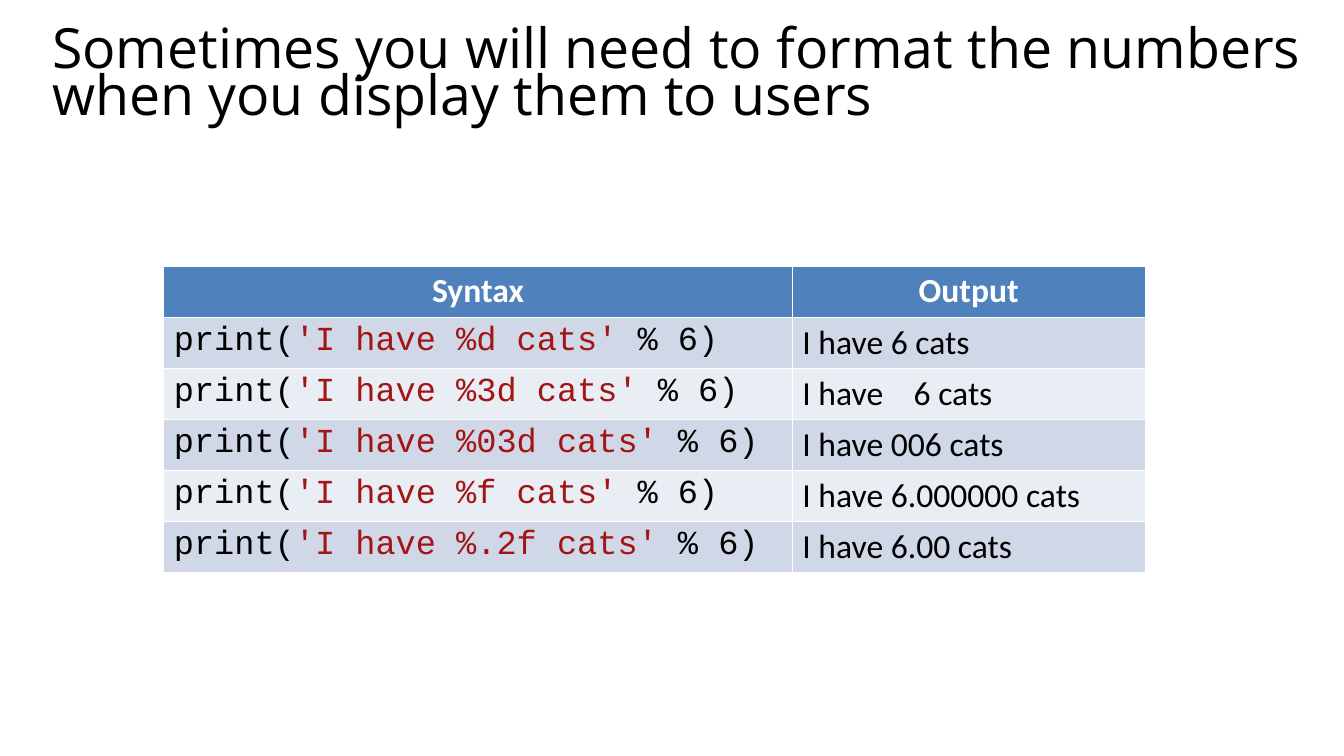
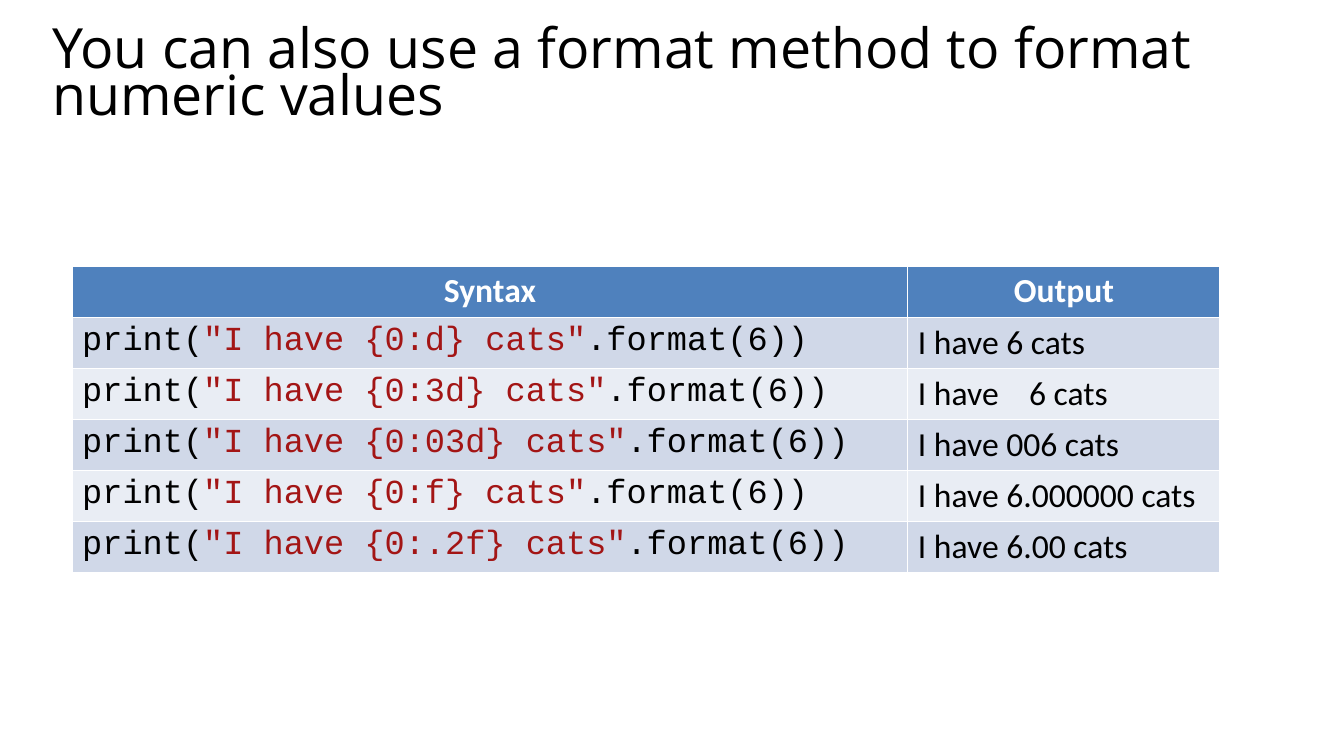
from pptx import Presentation
from pptx.dml.color import RGBColor
from pptx.enum.text import MSO_ANCHOR, MSO_AUTO_SIZE, PP_ALIGN
from pptx.util import Pt

BLACK = RGBColor(0, 0, 0)
WHITE = RGBColor(255, 255, 255)
BLUE = RGBColor(0x4F, 0x81, 0xBD)
RED = RGBColor(0xA3, 0x15, 0x15)
BANDS = (RGBColor(0xD0, 0xD8, 0xE8), RGBColor(0xE9, 0xED, 0xF4))

TITLE = {"name": "Open Sans", "size": Pt(39.6), "color": BLACK}
HEAD = {"name": "Calibri", "size": Pt(24), "bold": True, "color": WHITE}
BODY = {"name": "Calibri", "size": Pt(24), "bold": False, "color": BLACK}
CODE = BODY | {"name": "Courier New"}
QUOTE = CODE | {"color": RED}

OUTPUTS = {
    "d": "I have 6 cats",
    "3d": "I have    6 cats",
    "03d": "I have 006 cats",
    "f": "I have 6.000000 cats",
    ".2f": "I have 6.00 cats",
}


class Deck:
    """Builds slides with a title and a table of syntax and output."""

    def __init__(self):
        self.prs = Presentation()
        self.prs.slide_width, self.prs.slide_height = Pt(960), Pt(540)
        self.slide = None

    def set_all(self, item, values):
        for key, value in values.items():
            setattr(item, key, value)

    def add_text(self, para, text, style):
        run = para.add_run()
        run.text = text
        for key, value in style.items():
            if key == "color":
                run.font.color.rgb = value
            else:
                setattr(run.font, key, value)

    def title(self, text):
        self.slide = self.prs.slides.add_slide(self.prs.slide_layouts[5])
        box = self.slide.shapes.title
        self.set_all(box, {"left": Pt(30), "top": Pt(14.4),
                           "width": Pt(908), "height": Pt(83.5)})
        self.set_all(box.text_frame, {
            "word_wrap": True, "auto_size": MSO_AUTO_SIZE.NONE,
            "vertical_anchor": MSO_ANCHOR.TOP, "margin_top": Pt(8),
            "margin_left": Pt(7.2), "margin_right": Pt(7.2)})
        para = box.text_frame.paragraphs[0]
        self.set_all(para, {"alignment": PP_ALIGN.LEFT, "line_spacing": 0.7})
        self.add_text(para, text, TITLE)

    def cell(self, cell, fill, runs, align=PP_ALIGN.LEFT):
        cell.fill.solid()
        cell.fill.fore_color.rgb = fill
        para = cell.text_frame.paragraphs[0]
        para.alignment = align
        for text, style in runs:
            self.add_text(para, text, style)

    def table(self, left, widths, quote, tail):
        rows = len(OUTPUTS) + 1
        grid = self.slide.shapes.add_table(
            rows, 2, Pt(left), Pt(190), Pt(sum(widths)), Pt(36.4 * rows)).table
        for col, (width, name) in enumerate(zip(widths, ("Syntax", "Output"))):
            grid.columns[col].width = Pt(width)
            self.cell(grid.cell(0, col), BLUE, [(name, HEAD)], PP_ALIGN.CENTER)
        for row, (code, output) in enumerate(OUTPUTS.items(), 1):
            fill = BANDS[(row - 1) % 2]
            syntax = [("print(", CODE), (quote.replace("#", code), QUOTE),
                      (tail, CODE)]
            self.cell(grid.cell(row, 0), fill, syntax)
            self.cell(grid.cell(row, 1), fill, [(output, BODY)])


deck = Deck()
deck.title("Sometimes you will need to format the numbers "
           "when you display them to users")
deck.table(117, (449, 252), "'I\u00a0have\u00a0%#\u00a0cats'",
           "\u00a0%\u00a06)")
deck.title("You can also use a format method to format numeric values")
deck.table(51.5, (597, 223), '"I\u00a0have\u00a0{0:#}\u00a0cats"',
           ".format(6))")
deck.prs.save("out.pptx")
